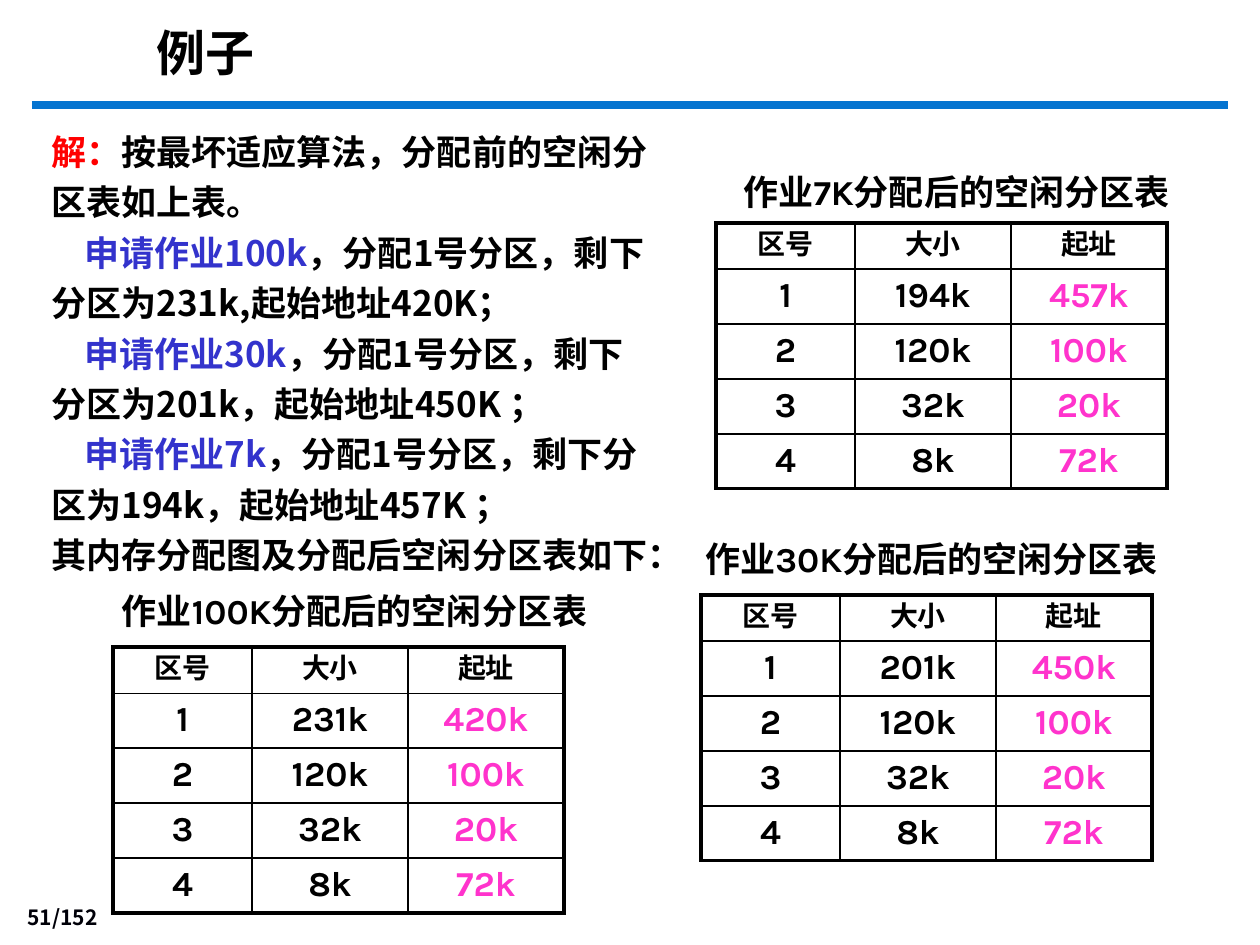
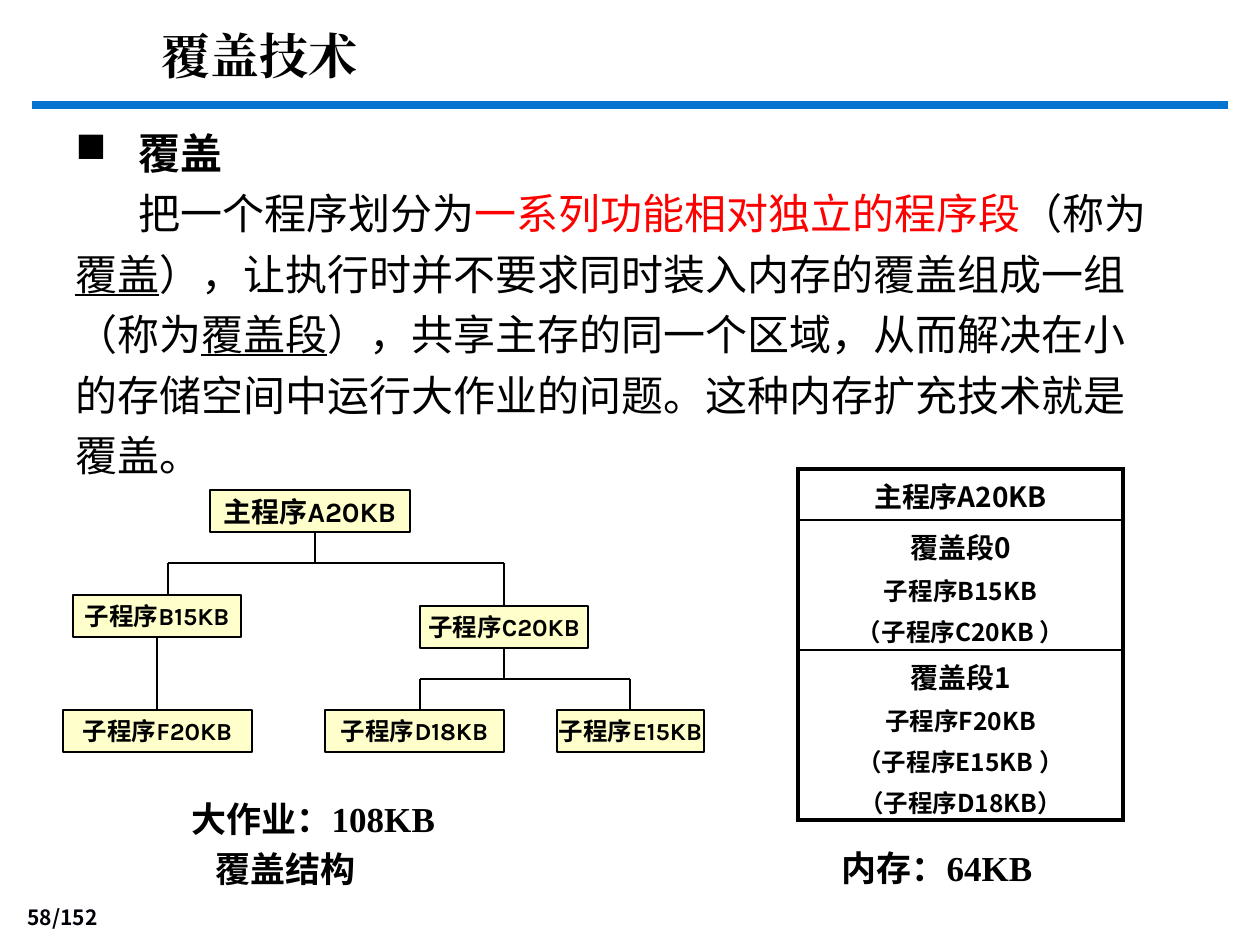
"""Build two slides on memory partition allocation and program overlays."""
from lxml.etree import SubElement
from pptx import Presentation
from pptx.dml.color import RGBColor
from pptx.enum.shapes import MSO_CONNECTOR, MSO_SHAPE
from pptx.enum.text import MSO_ANCHOR, PP_ALIGN
from pptx.oxml.ns import qn
from pptx.util import Emu, Pt

SANS, KARLA, ARIAL, TIMES = "Noto Sans CJK SC", "Karla", "Arial", "Times New Roman"
BLACK, RED, BLUE, PINK = "000000", "FF0000", "3333CC", "FF33CC"
RULE_BLUE, NUMBER_INK, BOX_YELLOW = "0574D0", "000008", "FFFFCC"
THICK, THIN = 2.25, 1

SOLUTION = [
    (0, [("解：", RED), ("按最坏适应算法，分配前的空闲分区表如上表。", BLACK)]),
    (33, [("申请作业100k", BLUE), ("，分配1号分区，剩下分区为231k,起始地址420K；", BLACK)]),
    (33, [("申请作业30k", BLUE), ("，分配1号分区，剩下分区为201k，起始地址450K ；", BLACK)]),
    (33, [("申请作业7k", BLUE), ("，分配1号分区，剩下分区为194k，起始地址457K ；", BLACK)]),
    (0, [("其内存分配图及分配后空闲分区表如下：", BLACK)]),
]
HEADER = ("区号", "大小", "起址")
UNCHANGED = [("2", "120k", "100k"), ("3", "32k", "20k"), ("4", "8k", "72k")]
FREE_TABLES = [
    ("作业100K分配后的空闲分区表", (92, 583), (113, 647), ("1", "231k", "420k")),
    ("作业30K分配后的空闲分区表", (669, 531), (701, 595), ("1", "201k", "450k")),
    ("作业7K分配后的空闲分区表", (694, 164), (716, 223), ("1", "194k", "457k")),
]
FREE_COLUMNS, FREE_ROWS = (139, 156, 156), (46, 54, 55, 55, 55)

OVERLAY = [
    ("把一个程序划分为", BLACK, False),
    ("一系列功能相对独立的程序段", RED, False),
    ("（称为", BLACK, False),
    ("覆盖", BLACK, True),
    ("），让执行时并不要求同时装入内存的覆盖组成一组（称为", BLACK, False),
    ("覆盖段", BLACK, True),
    ("），共享主存的同一个区域，从而解决在小的存储空间中运行大作业的问题。这种内存扩充技术就是覆盖。", BLACK, False),
]
PROGRAMS = [
    ("主程序A20KB", 210, 490, 200, 16),
    ("子程序B15KB", 73, 595, 168, 14),
    ("子程序C20KB", 420, 606, 168, 14),
    ("子程序F20KB", 63, 710, 189, 14),
    ("子程序D18KB", 325, 710, 179, 14),
    ("子程序E15KB", 557, 710, 147, 14),
]
PROGRAM_HEIGHT = 42
BRANCHES = [
    (315, 532, 563, [(168, 595), (504, 606)]),
    (504, 648, 679, [(420, 710), (630, 710)]),
]
MEMORY = [
    ["主程序A20KB"],
    ["覆盖段0", "子程序B15KB", "（子程序C20KB ）"],
    ["覆盖段1", "子程序F20KB", "（子程序E15KB ）", "（子程序D18KB）"],
]
MEMORY_ROWS = (51, 130, 170)


def px(length):
    return Emu(round(length * 914400 / 126))


def color(value):
    return RGBColor.from_string(value)


def add_span(para, text, size, face, ink=BLACK, bold=True, underline=False):
    span = para.add_run()
    span.text = text
    font = span.font
    font.size, font.name, font.bold = Pt(size), face, bold
    font.color.rgb = color(ink)
    if underline:
        font.underline = True
    SubElement(font._element, qn("a:ea")).set("typeface", face)


def set_indent(para, first, left=0):
    properties = para._p.get_or_add_pPr()
    properties.set("marL", str(px(left)))
    properties.set("indent", str(px(first)))
    return properties


def add_box(page, left, top, width, height, anchor=MSO_ANCHOR.TOP):
    box = page.shapes.add_textbox(px(left), px(top), px(width), px(height))
    frame = box.text_frame
    frame.word_wrap = True
    frame.vertical_anchor = anchor
    return frame


def add_line(page, x1, y1, x2, y2, ink=BLACK, weight=0.75):
    line = page.shapes.add_connector(MSO_CONNECTOR.STRAIGHT, px(x1), px(y1), px(x2), px(y2))
    line.line.color.rgb = color(ink)
    line.line.width = Pt(weight)
    SubElement(line._element.spPr, qn("a:effectLst"))


def add_page(deck, title, left, top, face, number):
    page = deck.slides.add_slide(deck.slide_layouts[6])
    add_line(page, 32, 105, 1228, 105, RULE_BLUE, 4.5)
    para = add_box(page, 0, 900, 110, 36, MSO_ANCHOR.BOTTOM).paragraphs[0]
    para.alignment = PP_ALIGN.RIGHT
    add_span(para, number, 12, "Noto Sans CJK JP", NUMBER_INK)
    add_span(add_box(page, left, top, 625, 72).paragraphs[0], title, 28, face)
    return page


def add_grid(page, left, top, columns, rows):
    frame = page.shapes.add_table(len(rows), len(columns), px(left), px(top),
                                  px(sum(columns)), px(sum(rows)))
    table = frame.table
    table.first_row = table.horz_banding = False
    for column, width in zip(table.columns, columns):
        column.width = px(width)
    for row, height in zip(table.rows, rows):
        row.height = px(height)
    for r in range(len(rows)):
        for c in range(len(columns)):
            cell = table.cell(r, c)
            outer = {"lnL": c == 0, "lnR": c == len(columns) - 1,
                     "lnT": r == 0, "lnB": r == len(rows) - 1}
            for edge, is_outer in outer.items():
                weight = Pt(THICK if is_outer else THIN)
                border = SubElement(cell._tc.get_or_add_tcPr(), qn("a:" + edge), w=str(weight))
                fill = SubElement(border, qn("a:solidFill"))
                SubElement(fill, qn("a:srgbClr"), val=BLACK)
            cell.fill.background()
    return table


def add_free_table(page, caption, caption_at, table_at, first):
    table = add_grid(page, *table_at, FREE_COLUMNS, FREE_ROWS)
    for r, values in enumerate([HEADER, first, *UNCHANGED]):
        for c, value in enumerate(values):
            para = table.cell(r, c).text_frame.paragraphs[0]
            para.alignment = PP_ALIGN.CENTER
            add_span(para, value, 20 if r else 16, KARLA, PINK if r and c == 2 else BLACK)
    para = add_box(page, *caption_at, 525, 54).paragraphs[0]
    para.alignment = PP_ALIGN.CENTER
    add_span(para, caption, 20, KARLA)


def build_example(deck):
    page = add_page(deck, "例子", 144, 16, ARIAL, "51/152")
    frame = add_box(page, 39, 116, 630, 471)
    for i, (indent, spans) in enumerate(SOLUTION):
        para = frame.add_paragraph() if i else frame.paragraphs[0]
        para.line_spacing = 1.2
        set_indent(para, indent)
        for text, ink in spans:
            add_span(para, text, 20, SANS, ink)
    for free_table in FREE_TABLES:
        add_free_table(page, *free_table)


def add_program(page, name, left, top, width, size):
    shape = page.shapes.add_shape(MSO_SHAPE.RECTANGLE, px(left), px(top),
                                  px(width), px(PROGRAM_HEIGHT))
    shape.shadow.inherit = False
    shape.fill.solid()
    shape.fill.fore_color.rgb = color(BOX_YELLOW)
    shape.line.color.rgb = color(BLACK)
    shape.line.width = Pt(0.75)
    frame = shape.text_frame
    frame.word_wrap = False
    frame.vertical_anchor = MSO_ANCHOR.MIDDLE
    para = frame.paragraphs[0]
    para.alignment = PP_ALIGN.CENTER
    add_span(para, name, size, KARLA)


def add_total(page, left, top, height, label, amount):
    frame = add_box(page, left, top, 294, height)
    add_span(frame.paragraphs[0], label, 20, SANS)
    add_span(frame.paragraphs[0], amount, 20, TIMES)
    return frame


def build_overlay(deck):
    page = add_page(deck, "覆盖技术", 149, 19, TIMES, "58/152")
    frame = add_box(page, 63, 121, 1097, 369)
    heading = frame.paragraphs[0]
    SubElement(set_indent(heading, -63, 63), qn("a:buChar")).set("char", "■")
    add_span(heading, "覆盖", 24, SANS)
    body = frame.add_paragraph()
    body.line_spacing = 1.2
    set_indent(body, 63)
    for text, ink, underline in OVERLAY:
        add_span(body, text, 24, ARIAL, ink, False, underline)

    for program in PROGRAMS:
        add_program(page, *program)
    for trunk, top, rail, drops in BRANCHES:
        add_line(page, trunk, top, trunk, rail)
        add_line(page, drops[0][0], rail, drops[-1][0], rail)
        for x, bottom in drops:
            add_line(page, x, rail, x, bottom)
    add_line(page, 157, 637, 157, 710)

    table = add_grid(page, 798, 469, (325,), MEMORY_ROWS)
    for r, lines in enumerate(MEMORY):
        frame = table.cell(r, 0).text_frame
        for i, line in enumerate(lines):
            para = frame.add_paragraph() if i else frame.paragraphs[0]
            para.alignment = PP_ALIGN.CENTER
            if i:
                para.space_before = Pt(3)
            add_span(para, line, 14 if i else 16, SANS)

    frame = add_total(page, 179, 791, 117, "大作业：", "108KB")
    caption = frame.add_paragraph()
    caption.space_before = Pt(5)
    set_indent(caption, 24)
    add_span(caption, "覆盖结构", 20, SANS)
    add_total(page, 829, 840, 54, "内存：", "64KB")


def main():
    deck = Presentation()
    deck.slide_width, deck.slide_height = px(1260), px(945)
    build_example(deck)
    build_overlay(deck)
    deck.save("out.pptx")


if __name__ == "__main__":
    main()
